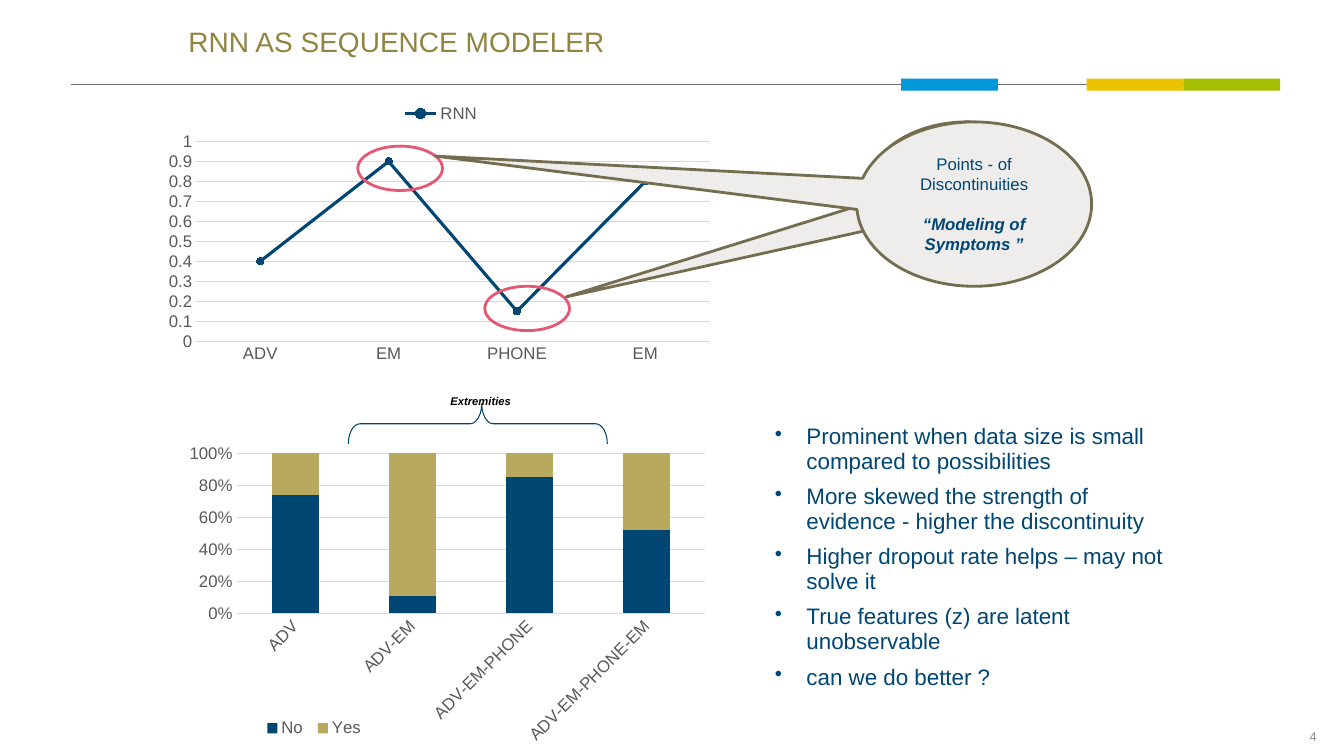
from lxml.etree import SubElement
from pptx import Presentation
from pptx.chart.data import CategoryChartData
from pptx.dml.color import RGBColor
from pptx.enum.chart import XL_CHART_TYPE, XL_LEGEND_POSITION, XL_MARKER_STYLE, XL_TICK_MARK
from pptx.enum.shapes import MSO_CONNECTOR, MSO_SHAPE
from pptx.enum.text import MSO_ANCHOR, PP_ALIGN
from pptx.oxml import parse_xml
from pptx.oxml.ns import nsdecls, qn
from pptx.util import Pt

NAVY, SAND, OLIVE = "004673", "B8A95E", "918340"
GREY, PALE_GREY = "595959", "D9D9D9"


def color(value):
    return RGBColor.from_string(value)


def style_font(font, size, value, bold=None, italic=None):
    font.name = "Arial"
    font.size = Pt(size)
    font.color.rgb = color(value)
    font.bold = bold
    font.italic = italic


def add_text(page, frame, text, size, value, wrap=True, margins=None, **emphasis):
    """Add a one-paragraph text box and return its text frame."""
    box = page.shapes.add_textbox(*map(Pt, frame)).text_frame
    box.word_wrap = wrap
    if margins is not None:
        box.margin_left = box.margin_right = Pt(margins)
        box.margin_top = box.margin_bottom = Pt(margins)
    para = box.paragraphs[0]
    para.text = text
    style_font(para.font, size, value, **emphasis)
    return box


def add_shape(page, kind, frame, fill=None, line=None, width=1, adjust=()):
    shape = page.shapes.add_shape(kind, *map(Pt, frame))
    shape.shadow.inherit = False
    if fill:
        shape.fill.solid()
        shape.fill.fore_color.rgb = color(fill)
    else:
        shape.fill.background()
    if line:
        shape.line.color.rgb = color(line)
        shape.line.width = Pt(width)
    else:
        shape.line.fill.background()
    for index, value in enumerate(adjust):
        shape.adjustments[index] = value
    return shape


def add_callout(page, frame, tip):
    return add_shape(page, MSO_SHAPE.OVAL_CALLOUT, frame, "EEEDEB", "746D4F", 2, tip)


def add_rule(page, left, right, top):
    rule = page.shapes.add_connector(MSO_CONNECTOR.STRAIGHT, Pt(left), Pt(top), Pt(right), Pt(top))
    rule.line.color.rgb = color("6C6F70")
    rule.line.width = Pt(1)
    SubElement(rule._element.spPr, qn("a:effectLst"))


def add_bullets(page, frame, items):
    box = page.shapes.add_textbox(*map(Pt, frame)).text_frame
    box.word_wrap = True
    for index, item in enumerate(items):
        para = box.add_paragraph() if index else box.paragraphs[0]
        para.text = item
        properties = para._p.get_or_add_pPr()
        properties.set("marL", str(Pt(22.5)))
        properties.set("indent", str(Pt(-22.5)))
        SubElement(properties, qn("a:buSzPct"), val="95000")
        SubElement(properties, qn("a:buChar"), char="•")
        para.line_spacing = 0.91
        para.space_before = Pt(7.1 if index else 0)
        para.space_after = Pt(0.9)
        style_font(para.font, 16, NAVY)


def place_part(part, index, area, inner=False):
    """Give a plot area or legend a fixed place, as fractions of the chart."""
    for old in part.findall(qn("c:layout")):
        part.remove(old)
    target = '<c:layoutTarget val="inner"/>' if inner else ""
    modes = '<c:xMode val="edge"/><c:yMode val="edge"/>'
    sizes = "".join(f'<c:{name} val="{value}"/>' for name, value in zip("xywh", area))
    layout = f'<c:layout {nsdecls("c")}><c:manualLayout>{target}{modes}{sizes}</c:manualLayout></c:layout>'
    part.insert(index, parse_xml(layout))


def add_chart(page, kind, frame, categories, series, unit, number_format, plot_area, legend_area):
    data = CategoryChartData()
    data.categories = categories
    for name, values in series:
        data.add_series(name, values)
    chart = page.shapes.add_chart(kind, *map(Pt, frame), data).chart
    style_font(chart.font, 10, "000000")
    chart.has_title = False
    chart.plots[0].vary_by_categories = False

    # Axes
    for axis in (chart.category_axis, chart.value_axis):
        axis.major_tick_mark = axis.minor_tick_mark = XL_TICK_MARK.NONE
        style_font(axis.tick_labels.font, 12, GREY)
    chart.category_axis.format.line.color.rgb = color(PALE_GREY)
    chart.category_axis.format.line.width = Pt(0.75)
    scale = chart.value_axis
    scale.minimum_scale, scale.maximum_scale, scale.major_unit = 0, 1, unit
    scale.tick_labels.number_format = number_format
    scale.tick_labels.number_format_is_linked = False
    scale.format.line.fill.background()
    scale.has_major_gridlines = True
    scale.major_gridlines.format.line.color.rgb = color(PALE_GREY)
    scale.major_gridlines.format.line.width = Pt(0.75)

    # Legend and plot area
    chart.has_legend = True
    chart.legend.position = XL_LEGEND_POSITION.BOTTOM
    chart.legend.include_in_layout = False
    style_font(chart.legend.font, 12, GREY)
    place_part(chart.legend._element, 1, legend_area)
    place_part(chart._chartSpace.chart.plotArea, 0, plot_area, inner=True)
    return chart


def add_line_chart(page):
    chart = add_chart(page, XL_CHART_TYPE.LINE_MARKERS, (120.2, 70.6, 397.4, 210.2),
                      ["ADV", "EM", "PHONE", "EM"], [("RNN", (0.4, 0.9, 0.15, 0.8))],
                      0.1, "General", (0.05, 0.145, 0.923, 0.679), (0.41, 0.01, 0.16, 0.08))
    curve = chart.plots[0].series[0]
    curve.smooth = False
    curve.format.line.color.rgb = color(NAVY)
    curve.format.line.width = Pt(2.25)
    curve.marker.style = XL_MARKER_STYLE.CIRCLE
    curve.marker.size = 5
    curve.marker.format.fill.solid()
    curve.marker.format.fill.fore_color.rgb = color(NAVY)
    curve.marker.format.line.color.rgb = color(NAVY)


def add_share_chart(page):
    chart = add_chart(page, XL_CHART_TYPE.COLUMN_STACKED_100, (115.9, 308.9, 401.8, 229.7),
                      ["ADV", "ADV-EM", "ADV-EM-PHONE", "ADV-EM-PHONE-EM"],
                      [("No", (74, 11, 85, 52)), ("Yes", (26, 89, 15, 48))],
                      0.2, "0%", (0.132, 0.065, 0.833, 0.498), (0.17, 0.88, 0.2, 0.08))
    plot = chart.plots[0]
    plot.gap_width, plot.overlap = 150, 100
    for bars, value in zip(plot.series, (NAVY, SAND)):
        bars.format.fill.solid()
        bars.format.fill.fore_color.rgb = color(value)
    # Slant the category labels by 45 degrees
    chart.category_axis._element.find(qn("c:txPr")).find(qn("a:bodyPr")).set("rot", "-2700000")


def main():
    deck = Presentation()
    deck.slide_width, deck.slide_height = Pt(960), Pt(540)
    page = deck.slides.add_slide(deck.slide_layouts[6])

    # Header strip, title and page number
    add_rule(page, 50.4, 912.2, 60.5)
    for left, fill in ((845.3, "A6BE00"), (776.2, "EBC300"), (643.7, "0098DB")):
        add_shape(page, MSO_SHAPE.RECTANGLE, (left, 56.2, 69.1, 8.6), fill)
    title = add_text(page, (134.6, 18.7, 612, 23.8), "RNN AS SEQUENCE MODELER", 20, OLIVE, margins=0)
    title.paragraphs[0].line_spacing = 0.97
    number = add_text(page, (731.5, 515.5, 216, 21.6), "4", 9, "8C8C8C")
    number.vertical_anchor = MSO_ANCHOR.MIDDLE
    number.paragraphs[0].alignment = PP_ALIGN.RIGHT

    # Charts and findings
    add_line_chart(page)
    add_share_chart(page)
    add_bullets(page, (546.5, 300.2, 293, 208.8), [
        "Prominent when data size is small compared to possibilities",
        "More skewed the strength of evidence - higher the discontinuity",
        "Higher dropout rate helps – may not solve it",
        "True features (z) are latent unobservable",
        "can we do better ?",
    ])

    # Callouts on the two discontinuities
    add_callout(page, (619.2, 87.1, 143.3, 97.9), (-2, 0.777))
    for left, top in ((255.6, 104.4), (346.3, 204.5)):
        add_shape(page, MSO_SHAPE.OVAL, (left, top, 60.5, 31.7), line="E35873", width=2)
    callout = add_callout(page, (612, 87.1, 167.8, 117.4), (-2.295, -0.292)).text_frame
    callout.word_wrap = True
    callout.vertical_anchor = MSO_ANCHOR.MIDDLE
    heading, quote = callout.paragraphs[0], callout.add_paragraph()
    heading.text, quote.text = "Points - of Discontinuities", "“Modeling of Symptoms ”"
    quote.space_before = Pt(14)
    for para, strong in ((heading, None), (quote, True)):
        para.alignment = PP_ALIGN.CENTER
        style_font(para.font, 12, NAVY, strong, strong)

    # Brace over the extreme columns
    brace = add_shape(page, MSO_SHAPE.LEFT_BRACE, (326.9, 210.2, 28.8, 185),
                      line="004470", width=0.75, adjust=(0.286, 0.485))
    brace.rotation = 90
    add_text(page, (314.6, 277.9, 58.3, 17.3), "Extremities", 8, "000000",
             wrap=False, bold=True, italic=True)

    deck.save("out.pptx")


if __name__ == "__main__":
    main()
